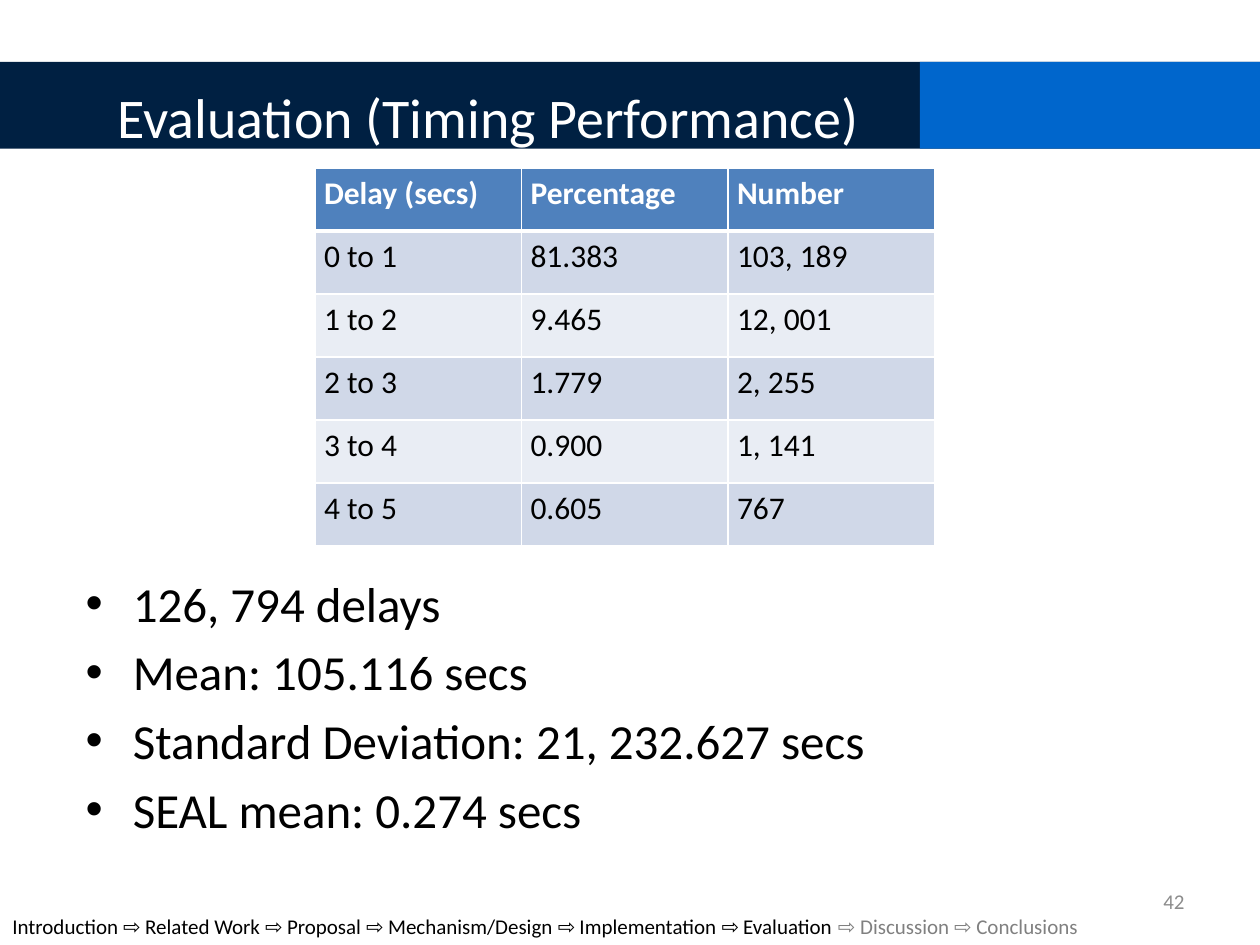
from lxml import etree
from pptx import Presentation
from pptx.dml.color import RGBColor
from pptx.enum.shapes import MSO_SHAPE
from pptx.enum.text import MSO_ANCHOR, PP_ALIGN
from pptx.oxml.ns import qn
from pptx.util import Pt

RECTANGLE = MSO_SHAPE.RECTANGLE
TOP, MIDDLE = MSO_ANCHOR.TOP, MSO_ANCHOR.MIDDLE
LEFT, CENTER, RIGHT = PP_ALIGN.LEFT, PP_ALIGN.CENTER, PP_ALIGN.RIGHT

WHITE = RGBColor(0xFF, 0xFF, 0xFF)
BLACK = RGBColor(0x00, 0x00, 0x00)
NAVY = RGBColor(0x00, 0x20, 0x42)
BLUE = RGBColor(0x00, 0x66, 0xCC)
HEADER_BLUE = RGBColor(0x4F, 0x81, 0xBD)
BAND_DARK = RGBColor(0xD0, 0xD8, 0xE8)
BAND_LIGHT = RGBColor(0xE9, 0xED, 0xF4)
NUMBER_GRAY = RGBColor(0x8C, 0x8C, 0x8C)
PENDING_GRAY = RGBColor(0x80, 0x80, 0x80)
FONT = "Calibri"

# Content
TITLE = "Evaluation (Timing Performance)"
DELAYS = [
    ("Delay (secs)", "Percentage", "Number"),
    ("0 to 1", "81.383", "103, 189"),
    ("1 to 2", "9.465", "12, 001"),
    ("2 to 3", "1.779", "2, 255"),
    ("3 to 4", "0.900", "1, 141"),
    ("4 to 5", "0.605", "767"),
]
FINDINGS = [
    "126, 794 delays",
    "Mean: 105.116 secs",
    "Standard Deviation: 21, 232.627 secs",
    "SEAL mean: 0.274 secs",
]
PAGE_NUMBER = "42"
SECTIONS = ["Introduction", "Related Work", "Proposal", "Mechanism/Design",
            "Implementation", "Evaluation", "Discussion", "Conclusions"]
CURRENT_SECTION = "Evaluation"
ARROW = "⇨ "

# Layout in points
SLIDE_W, SLIDE_H = 720, 540
BAND_TOP, BAND_H, ACCENT_LEFT = 35.3, 49.7, 525.6
TABLE_LEFT, TABLE_TOP, COLUMN_W, ROW_H = 180, 96, 118, 36
CELL_INSET_X, CELL_INSET_Y = 5.2, 3.6
BULLET_INDENT = 27


def write(frame, paragraphs, size, color=BLACK, bold=False, align=LEFT,
          anchor=TOP, space_before=0, bullet=None):
    """Fill a text frame; a paragraph is a string or a list of (text, color)."""
    frame.word_wrap = True
    frame.vertical_anchor = anchor
    for index, content in enumerate(paragraphs):
        paragraph = frame.add_paragraph() if index else frame.paragraphs[0]
        paragraph.alignment = align
        paragraph.space_before = Pt(space_before)
        runs = [(content, color)] if isinstance(content, str) else content
        for text, run_color in runs:
            run = paragraph.add_run()
            run.text = text
            run.font.name = FONT
            run.font.size = Pt(size)
            run.font.bold = bold
            run.font.color.rgb = run_color
        if bullet:
            properties = paragraph._p.get_or_add_pPr()
            properties.set("marL", str(Pt(BULLET_INDENT)))
            properties.set("indent", str(-Pt(BULLET_INDENT)))
            etree.SubElement(properties, qn("a:buFont"), typeface="Arial")
            etree.SubElement(properties, qn("a:buChar"), char=bullet)


def add_text(slide, box, paragraphs, **style):
    textbox = slide.shapes.add_textbox(*map(Pt, box))
    write(textbox.text_frame, paragraphs, **style)


def add_band(slide, left, color):
    band = slide.shapes.add_shape(RECTANGLE, Pt(left), Pt(BAND_TOP),
                                  Pt(SLIDE_W - left), Pt(BAND_H))
    band.shadow.inherit = False
    band.fill.solid()
    band.fill.fore_color.rgb = color
    band.line.fill.background()


def add_borders(cell, widths):
    properties = cell._tc.get_or_add_tcPr()
    for side, width in widths.items():
        line = etree.SubElement(properties, qn(f"a:ln{side}"), w=str(Pt(width)))
        fill = etree.SubElement(line, qn("a:solidFill"))
        etree.SubElement(fill, qn("a:srgbClr"), val=str(WHITE))


def add_delay_table(slide):
    rows, columns = len(DELAYS), len(DELAYS[0])
    table = slide.shapes.add_table(
        rows, columns, Pt(TABLE_LEFT), Pt(TABLE_TOP),
        Pt(columns * COLUMN_W), Pt(rows * ROW_H)).table
    for column in table.columns:
        column.width = Pt(COLUMN_W)
    for r, values in enumerate(DELAYS):
        table.rows[r].height = Pt(ROW_H)
        header = r == 0
        band = BAND_DARK if r % 2 else BAND_LIGHT
        for c, value in enumerate(values):
            cell = table.cell(r, c)
            cell.margin_left = cell.margin_right = Pt(CELL_INSET_X)
            cell.margin_top = cell.margin_bottom = Pt(CELL_INSET_Y)
            add_borders(cell, {"L": 1, "R": 1, "T": 3 if r == 1 else 1,
                               "B": 3 if header else 1})
            cell.fill.solid()
            cell.fill.fore_color.rgb = HEADER_BLUE if header else band
            write(cell.text_frame, [value], size=18, bold=header,
                  color=WHITE if header else BLACK)


def main():
    presentation = Presentation()
    presentation.slide_width, presentation.slide_height = Pt(SLIDE_W), Pt(SLIDE_H)
    slide = presentation.slides.add_slide(presentation.slide_layouts[6])

    # Title band
    add_band(slide, 0, NAVY)
    add_band(slide, ACCENT_LEFT, BLUE)
    add_text(slide, (36, 21.6, 486, 90), [TITLE], size=32, color=WHITE,
             align=CENTER, anchor=MIDDLE)

    # Delay distribution and findings
    add_delay_table(slide)
    add_text(slide, (41.8, 324, 618, 176.4), FINDINGS, size=28,
             space_before=5.6, bullet="•")

    # Page number and progress trail
    add_text(slide, (516, 500.4, 168, 28.8), [PAGE_NUMBER], size=12,
             color=NUMBER_GRAY, align=RIGHT, anchor=MIDDLE)
    reached = SECTIONS.index(CURRENT_SECTION) + 1
    done = f" {ARROW}".join(SECTIONS[:reached]) + " "
    pending = ARROW + f" {ARROW}".join(SECTIONS[reached:])
    add_text(slide, (0, 518.4, SLIDE_W, 21.6),
             [[(done, BLACK), (pending, PENDING_GRAY)]], size=12)

    presentation.save("out.pptx")


if __name__ == "__main__":
    main()
